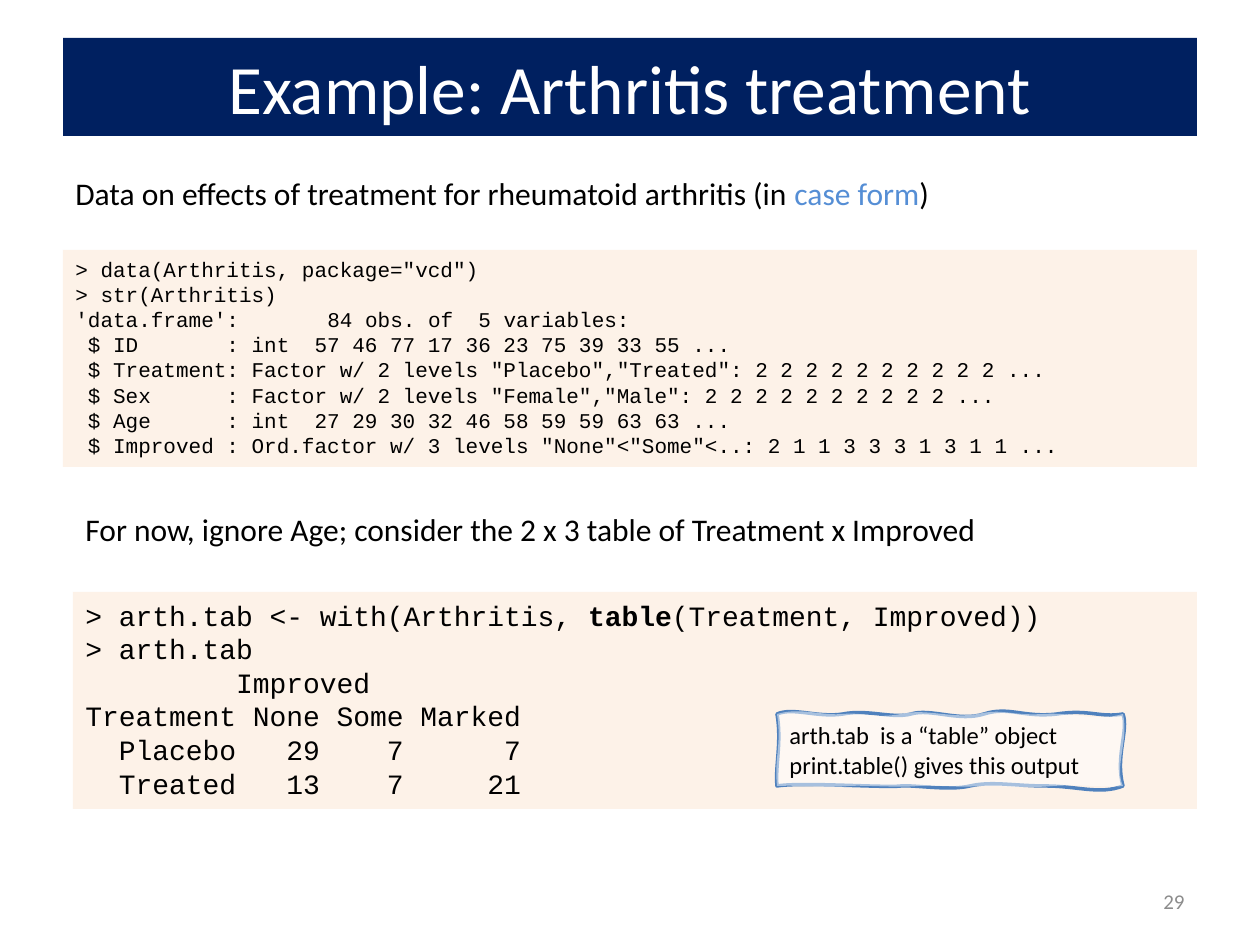
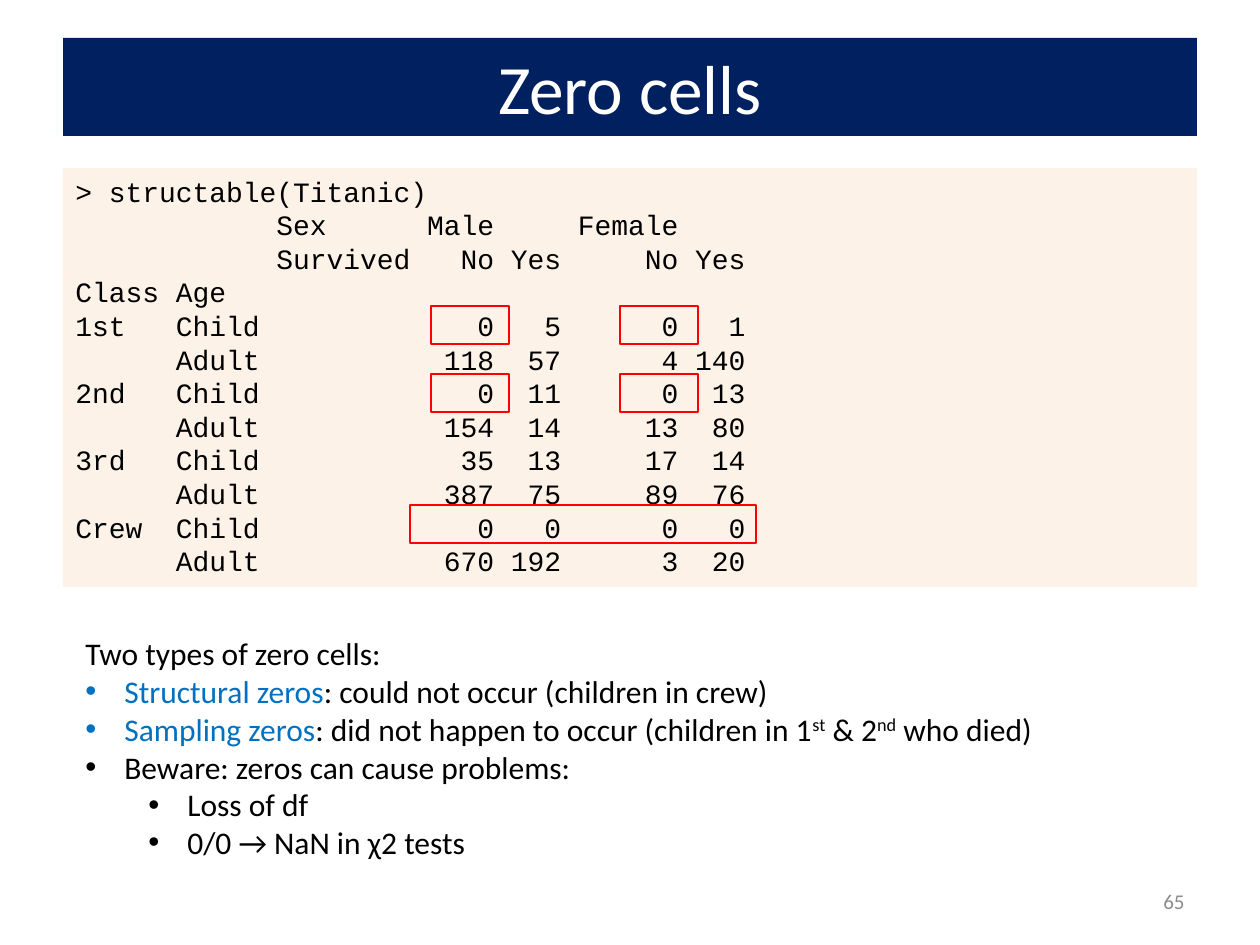
from lxml import etree
from pptx import Presentation
from pptx.dml.color import RGBColor
from pptx.enum.shapes import MSO_SHAPE
from pptx.enum.text import MSO_ANCHOR, MSO_AUTO_SIZE, PP_ALIGN
from pptx.oxml.ns import qn
from pptx.util import Pt

RECT = MSO_SHAPE.RECTANGLE
LEFT, CENTER, RIGHT = PP_ALIGN.LEFT, PP_ALIGN.CENTER, PP_ALIGN.RIGHT
TOP, MIDDLE = MSO_ANCHOR.TOP, MSO_ANCHOR.MIDDLE
GROW, FIXED = MSO_AUTO_SIZE.SHAPE_TO_FIT_TEXT, MSO_AUTO_SIZE.NONE

PX = 914400 / 126
COLORS = {
    "navy": "002060", "white": "FFFFFF", "black": "000000", "gray": "8C8C8C",
    "cream": "FDEADA", "sky": "558ED5", "blue": "0070C0", "steel": "4F81BD",
    "red": "FF0000",
}
SANS, MONO = "Calibri", "Courier New"
TITLE_BAND = (63, 38, 1134, 98)
NUMBER_BOX = (903, 876, 294, 50)
CODE_TAB = 252

# A paragraph is a string or a list of runs; a run is a string or (text, style).
# A style is a colour name, "bold" or "super".
INTRO = [["Data on effects of treatment for rheumatoid arthritis (in ",
          ("case form", "sky"), ")"]]
STR_CODE = [
    '> data(Arthritis, package="vcd")',
    "> str(Arthritis)",
    "'data.frame':\t84 obs. of  5 variables:",
    " $ ID       : int  57 46 77 17 36 23 75 39 33 55 ...",
    ' $ Treatment: Factor w/ 2 levels "Placebo","Treated": 2 2 2 2 2 2 2 2 2 2 ...',
    ' $ Sex      : Factor w/ 2 levels "Female","Male": 2 2 2 2 2 2 2 2 2 2 ...',
    " $ Age      : int  27 29 30 32 46 58 59 59 63 63 ...",
    ' $ Improved : Ord.factor w/ 3 levels "None"<"Some"<..: 2 1 1 3 3 3 1 3 1 1 ...',
]
FOCUS = ["For now, ignore Age; consider the 2 x 3 table of Treatment x Improved"]
TABLE_CODE = [
    ["> arth.tab <- with(Arthritis, ", ("table", "bold"), "(Treatment, Improved))"],
    "> arth.tab",
    "         Improved",
    "Treatment None Some Marked",
    "  Placebo   29    7      7",
    "  Treated   13    7     21",
]
CALLOUT = ["arth.tab  is a “table” object print.table() gives this output"]
TITANIC_CODE = [
    "> structable(Titanic)",
    "            Sex      Male     Female",
    "            Survived   No Yes     No Yes",
    "Class Age",
    "1st   Child             0   5      0   1",
    "      Adult           118  57      4 140",
    "2nd   Child             0  11      0  13",
    "      Adult           154  14     13  80",
    "3rd   Child            35  13     17  14",
    "      Adult           387  75     89  76",
    "Crew  Child             0   0      0   0",
    "      Adult           670 192      3  20",
]
ZERO_TYPES = [
    "Two types of zero cells:",
    [("Structural zeros", "blue"), ": could not occur (children in crew)"],
    [("Sampling zeros", "blue"), ": did not happen to occur (children in 1",
     ("st", "super"), " & 2", ("nd", "super"), " who died)"],
    "Beware: zeros can cause problems:",
    "Loss of df",
    "0/0 → NaN in χ2 tests",
]
ZERO_LEVELS = [None, 0, 0, 0, 1, 1]
ZERO_MARKS = [(410, 505, 346, 38)] + [
    (x, y, 78, 38) for y in (306, 374) for x in (431, 620)]

# Hand-drawn frame: cubic curves (two controls and an end) from its top left.
FRAME = (777, 714, 346, 72)
FRAME_LINE = [
    (793, 707, 818, 718, 843, 714), (868, 709, 892, 719, 911, 714),
    (931, 708, 959, 722, 984, 714), (1009, 706, 1024, 718, 1057, 714),
    (1089, 709, 1100, 718, 1123, 714), (1129, 730, 1115, 757, 1123, 786),
    (1100, 795, 1077, 786, 1046, 786), (1014, 786, 992, 781, 970, 786),
    (949, 791, 916, 785, 901, 786), (886, 788, 801, 782, 777, 786),
    (775, 766, 782, 742, 777, 714),
]
FRAME_FILL = [
    (800, 707, 822, 716, 843, 714), (863, 712, 874, 719, 901, 714),
    (927, 708, 951, 719, 978, 714), (1003, 708, 1011, 716, 1043, 714),
    (1074, 712, 1095, 722, 1123, 714), (1129, 741, 1114, 767, 1123, 786),
    (1106, 788, 1086, 784, 1053, 786), (1021, 789, 994, 785, 978, 786),
    (962, 788, 941, 785, 919, 786), (896, 788, 866, 785, 849, 786),
    (833, 788, 801, 785, 777, 786), (774, 756, 782, 746, 777, 714),
]


def emu(values):
    return [round(v * PX) for v in values]


def rgb(name):
    return RGBColor.from_string(COLORS[name])


def paint(sp, fill=None, opacity=100, line=None, width=1.5):
    """Set fill and outline; None means there is none."""
    sp.shadow.inherit = False
    if fill:
        sp.fill.solid()
        sp.fill.fore_color.rgb = rgb(fill)
        if opacity < 100:
            clr = sp._element.spPr.find(qn("a:solidFill"))[0]
            etree.SubElement(clr, qn("a:alpha"), val=str(opacity * 1000))
    else:
        sp.fill.background()
    if line:
        sp.line.color.rgb = rgb(line)
        sp.line.width = Pt(width)
    else:
        sp.line.fill.background()


def write(sp, paragraphs, size, font=SANS, color="black", align=LEFT, anchor=TOP):
    tf = sp.text_frame
    tf.word_wrap = True
    tf.auto_size = GROW if anchor == TOP else FIXED
    tf.vertical_anchor = anchor
    for i, runs in enumerate(paragraphs):
        p = tf.add_paragraph() if i else tf.paragraphs[0]
        p.alignment = align
        for run in [runs] if isinstance(runs, str) else runs:
            text, style = (run, None) if isinstance(run, str) else run
            r = p.add_run()
            r.text = text
            r.font.name, r.font.size = font, Pt(size)
            r.font.color.rgb = rgb(style if style in COLORS else color)
            if style == "bold":
                r.font.bold = True
            elif style == "super":
                r._r.get_or_add_rPr().set("baseline", "30000")
        if "\t" in p.text:
            tabs = etree.SubElement(p._p.get_or_add_pPr(), qn("a:tabLst"))
            etree.SubElement(tabs, qn("a:tab"), pos=str(emu([CODE_TAB])[0]), algn="l")


def add_bullets(sp, levels):
    for p, level in zip(sp.text_frame.paragraphs, levels):
        if level is None:
            continue
        p.level = level
        pPr = p._p.get_or_add_pPr()
        hang, indent = emu((39, 63))
        pPr.set("marL", str(hang + level * indent))
        pPr.set("indent", str(-hang))
        etree.SubElement(pPr, qn("a:buFont"), typeface="Arial")
        etree.SubElement(pPr, qn("a:buChar"), char="•")


def add_text(s, box, paragraphs, size, **style):
    sp = s.shapes.add_textbox(*emu(box))
    write(sp, paragraphs, size, **style)
    return sp


def add_code(s, box, lines, size):
    sp = s.shapes.add_shape(RECT, *emu(box))
    paint(sp, "cream", 60)
    write(sp, lines, size, MONO)


def add_curved(s, box, outlines):
    """Add one freeform made of (attributes, cubic curves) outlines."""
    x, y, w, h = box
    builder = s.shapes.build_freeform(*emu((x, y)))
    corners = [(x + w, y), (x + w, y + h), (x, y + h)]
    builder.add_line_segments([emu(c) for c in corners], close=True)
    sp = builder.convert_to_shape()
    paths = sp._element.spPr.find(qn("a:custGeom")).find(qn("a:pathLst"))
    paths.remove(paths[0])
    for attributes, curves in outlines:
        path = etree.SubElement(paths, qn("a:path"), w=str(w), h=str(h), **attributes)
        move = etree.SubElement(path, qn("a:moveTo"))
        etree.SubElement(move, qn("a:pt"), x="0", y="0")
        for curve in curves:
            cubic = etree.SubElement(path, qn("a:cubicBezTo"))
            for px, py in zip(curve[::2], curve[1::2]):
                etree.SubElement(cubic, qn("a:pt"), x=str(px - x), y=str(py - y))
        etree.SubElement(path, qn("a:close"))
    return sp


def add_slide(prs, title, number):
    s = prs.slides.add_slide(prs.slide_layouts[5])
    sp = s.shapes.title
    sp.left, sp.top, sp.width, sp.height = emu(TITLE_BAND)
    sp.fill.solid()
    sp.fill.fore_color.rgb = rgb("navy")
    write(sp, [title], 39.6, color="white", align=CENTER, anchor=MIDDLE)
    add_text(s, NUMBER_BOX, [number], 12, color="gray", align=RIGHT, anchor=MIDDLE)
    return s


def build_arthritis(prs):
    s = add_slide(prs, "Example: Arthritis treatment", "29")
    add_text(s, (63, 168, 1134, 50), INTRO, 18)
    add_code(s, (63, 250, 1134, 217), STR_CODE, 12)
    add_text(s, (73, 504, 1113, 50), FOCUS, 18)
    add_code(s, (73, 592, 1124, 217), TABLE_CODE, 16)
    sp = add_curved(s, FRAME, [({"fill": "none"}, FRAME_LINE),
                               ({"stroke": "0"}, FRAME_FILL)])
    paint(sp, "white", 50, line="steel", width=2)
    write(sp, CALLOUT, 14)


def build_zero_cells(prs):
    s = add_slide(prs, "Zero cells", "65")
    add_code(s, (63, 168, 1134, 419), TITANIC_CODE, 16)
    add_bullets(add_text(s, (73, 628, 1124, 242), ZERO_TYPES, 18), ZERO_LEVELS)
    for box in ZERO_MARKS:
        paint(s.shapes.add_shape(RECT, *emu(box)), line="red")


def main():
    prs = Presentation()
    prs.slide_width, prs.slide_height = emu((1260, 945))
    build_arthritis(prs)
    build_zero_cells(prs)
    prs.save("out.pptx")


if __name__ == "__main__":
    main()
